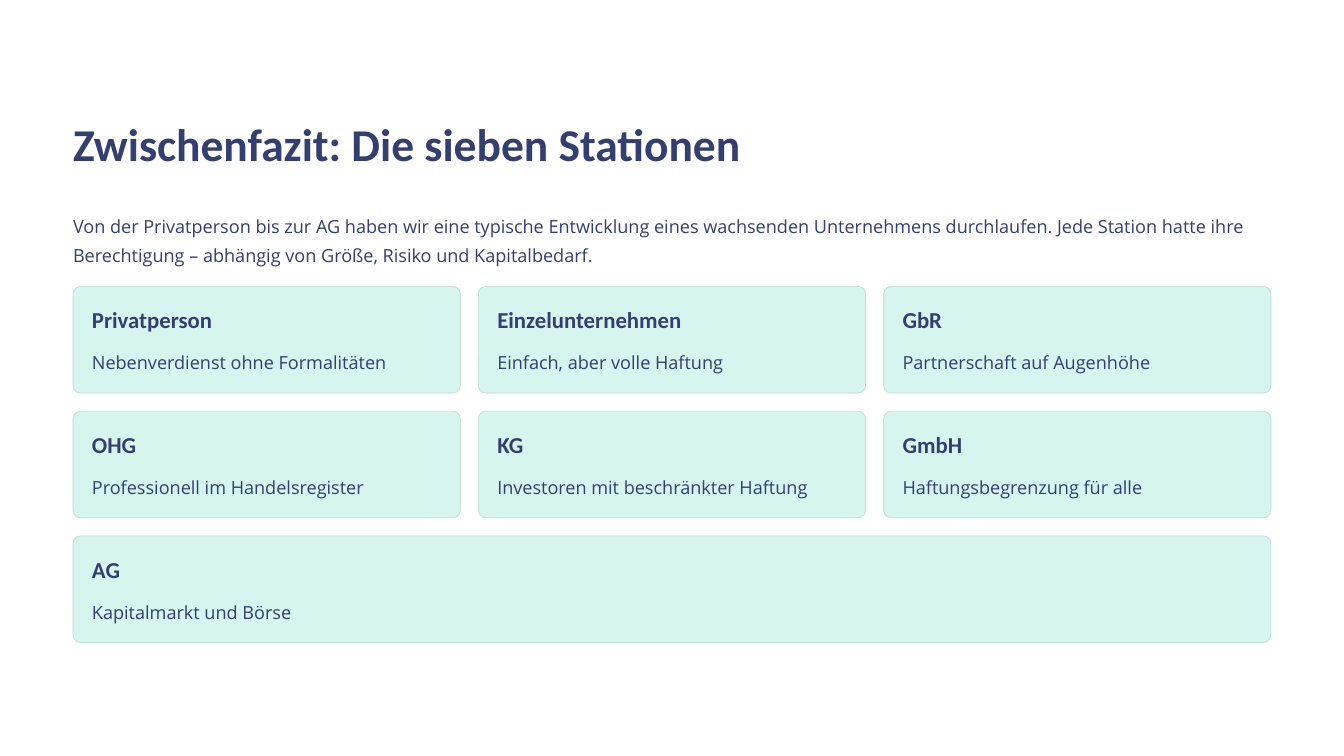
from dataclasses import dataclass

from pptx import Presentation
from pptx.dml.color import RGBColor
from pptx.enum.shapes import MSO_SHAPE
from pptx.enum.text import MSO_ANCHOR, MSO_AUTO_SIZE, PP_ALIGN
from pptx.util import Inches, Pt

ROUNDED = MSO_SHAPE.ROUNDED_RECTANGLE
TOP = MSO_ANCHOR.TOP
NO_AUTOFIT = MSO_AUTO_SIZE.NONE
LEFT = PP_ALIGN.LEFT

COLORS = {
    "background": "FFFFFF",
    "ink": "333F70",
    "card": "D6F5EE",
    "border": "BCDBD4",
}
FRAME_FORMAT = {
    "margin_left": 0,
    "margin_top": 0,
    "margin_right": 0,
    "margin_bottom": 0,
    "vertical_anchor": TOP,
    "auto_size": NO_AUTOFIT,
}

MARGIN = 0.87
CONTENT_WIDTH = 14.26
GRID_TOP = 3.41
GRID_HEIGHT = 4.24
CARD_HEIGHT = 1.27
COLUMNS = 3
ROWS = 3
GAP = (GRID_HEIGHT - ROWS * CARD_HEIGHT) / (ROWS - 1)
CARD_WIDTH = (CONTENT_WIDTH - (COLUMNS - 1) * GAP) / COLUMNS
PADDING = 0.225


@dataclass(frozen=True)
class TextStyle:
    font: str
    size: float
    line_spacing: float
    bold: bool = False
    wrap: bool = False


@dataclass(frozen=True)
class Station:
    name: str
    summary: str
    span: int = 1


HEADLINE = TextStyle("Calibri", 39, 48.5, bold=True)
INTRO = TextStyle("Open Sans", 15.5, 25, wrap=True)
STATION_NAME = TextStyle("Calibri", 19.5, 24, bold=True)
STATION_SUMMARY = TextStyle("Open Sans", 15.5, 25)

STATIONS = [
    Station("Privatperson", "Nebenverdienst ohne Formalitäten"),
    Station("Einzelunternehmen", "Einfach, aber volle Haftung"),
    Station("GbR", "Partnerschaft auf Augenhöhe"),
    Station("OHG", "Professionell im Handelsregister"),
    Station("KG", "Investoren mit beschränkter Haftung"),
    Station("GmbH", "Haftungsbegrenzung für alle"),
    Station("AG", "Kapitalmarkt und Börse", span=COLUMNS),
]


def color(name: str) -> RGBColor:
    return RGBColor.from_string(COLORS[name])


def write(holder, text: str, style: TextStyle) -> None:
    frame = holder.text_frame
    for attribute, value in FRAME_FORMAT.items():
        setattr(frame, attribute, value)
    frame.word_wrap = style.wrap
    paragraph = frame.paragraphs[0]
    paragraph.text = text
    paragraph.alignment = LEFT
    paragraph.line_spacing = Pt(style.line_spacing)
    font_format = {"name": style.font, "size": Pt(style.size), "bold": style.bold}
    for attribute, value in font_format.items():
        setattr(paragraph.font, attribute, value)
    paragraph.font.color.rgb = color("ink")


def add_text(slide, text: str, style: TextStyle, left: float, top: float,
             width: float, height: float) -> None:
    holder = slide.shapes.add_textbox(
        Inches(left), Inches(top), Inches(width), Inches(height))
    write(holder, text, style)


def add_headline(slide, text: str) -> None:
    headline = slide.shapes.title
    place = {"left": MARGIN, "top": 1.36, "width": 12.21, "height": 0.68}
    for attribute, value in place.items():
        setattr(headline, attribute, Inches(value))
    write(headline, text, HEADLINE)


def add_station(slide, station: Station, left: float, top: float) -> None:
    width = station.span * CARD_WIDTH + (station.span - 1) * GAP
    card = slide.shapes.add_shape(
        ROUNDED, Inches(left), Inches(top), Inches(width), Inches(CARD_HEIGHT))
    card.adjustments[0] = 0.07
    card.shadow.inherit = False
    card.fill.solid()
    card.fill.fore_color.rgb = color("card")
    card.line.color.rgb = color("border")
    card.line.width = Pt(0.6)
    text_left = left + PADDING
    text_width = width - 2 * PADDING
    add_text(slide, station.name, STATION_NAME,
             text_left, top + PADDING, text_width, 0.34)
    add_text(slide, station.summary, STATION_SUMMARY,
             text_left, top + 0.69, text_width, 0.35)


def main() -> None:
    presentation = Presentation()
    presentation.slide_width = Inches(16)
    presentation.slide_height = Inches(9)
    slide = presentation.slides.add_slide(presentation.slide_layouts[5])
    slide.background.fill.solid()
    slide.background.fill.fore_color.rgb = color("background")

    add_headline(slide, "Zwischenfazit: Die sieben Stationen")
    add_text(
        slide,
        "Von der Privatperson bis zur AG haben wir eine typische Entwicklung "
        "eines wachsenden Unternehmens durchlaufen. Jede Station hatte ihre "
        "Berechtigung – abhängig von Größe, Risiko und Kapitalbedarf.",
        INTRO, MARGIN, 2.47, CONTENT_WIDTH, 0.69)
    for index, station in enumerate(STATIONS):
        row, column = divmod(index, COLUMNS)
        add_station(slide, station,
                    MARGIN + column * (CARD_WIDTH + GAP),
                    GRID_TOP + row * (CARD_HEIGHT + GAP))

    presentation.save("out.pptx")


if __name__ == "__main__":
    main()
